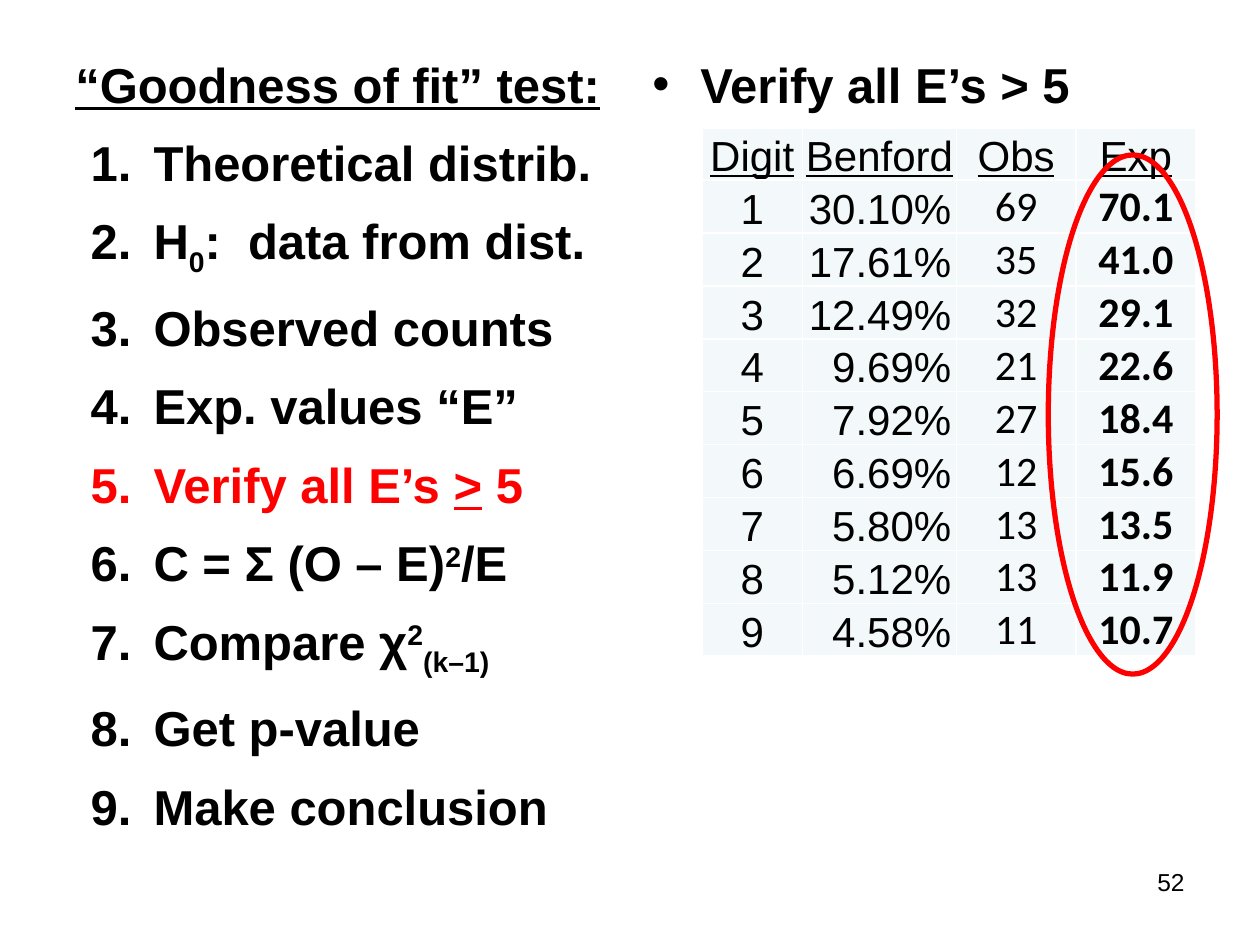
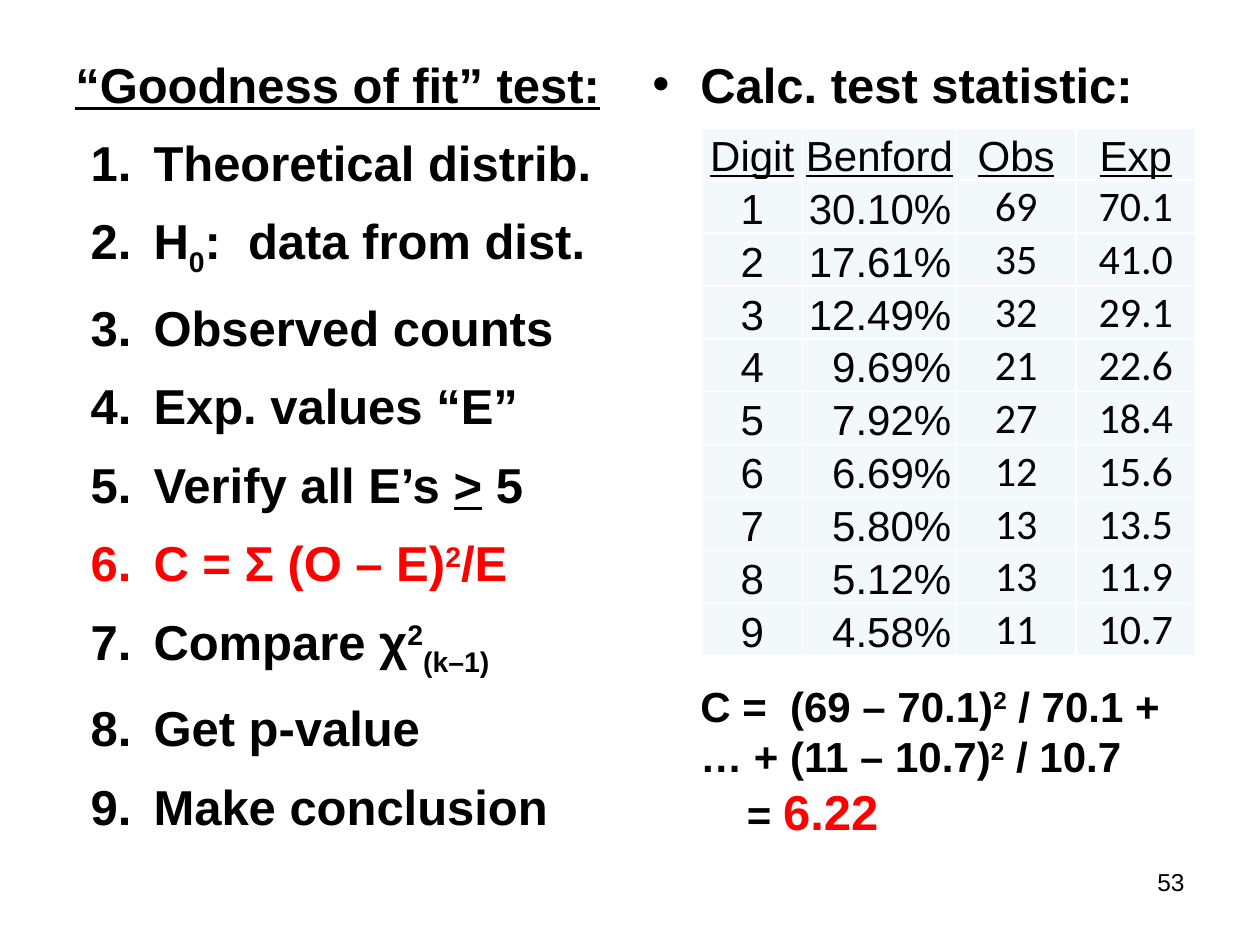
from dataclasses import dataclass

from lxml.etree import SubElement
from pptx import Presentation
from pptx.dml.color import RGBColor
from pptx.enum.shapes import MSO_SHAPE as Preset
from pptx.enum.text import MSO_ANCHOR as Anchor, PP_ALIGN as Align
from pptx.oxml.ns import qn
from pptx.util import Inches, Pt

# Content: a run is plain text or (text, style)
TITLE = "“Goodness of fit” test:"
STEPS = [
    ["Theoretical distrib."],
    ["H", ("0", "sub"), ":  data from dist."],
    ["Observed counts"],
    ["Exp. values “E”"],
    ["Verify all E’s ", (">", "underline"), " 5"],
    ["C = Σ (O – E)", ("2", "super"), "/E"],
    ["Compare χ", ("2", "super"), ("(k–1)", "sub")],
    ["Get p-value"],
    ["Make conclusion"],
]
HEADERS = ["Digit", "Benford", "Obs", "Exp"]
COUNTS = [
    ("1", "30.10%", "69", "70.1"),
    ("2", "17.61%", "35", "41.0"),
    ("3", "12.49%", "32", "29.1"),
    ("4", "9.69%", "21", "22.6"),
    ("5", "7.92%", "27", "18.4"),
    ("6", "6.69%", "12", "15.6"),
    ("7", "5.80%", "13", "13.5"),
    ("8", "5.12%", "13", "11.9"),
    ("9", "4.58%", "11", "10.7"),
]
FORMULA = ["C =  (69 – 70.1)", ("2", "super"), " / 70.1 + … + (11 – 10.7)",
           ("2", "super"), " / 10.7"]
RESULT = ["= ", ("6.22", "result")]
SLIDES = [
    {"number": 52, "step": 5, "heading": "Verify all E’s > 5", "circle_expected": True},
    {"number": 53, "step": 6, "heading": "Calc. test statistic:", "circle_expected": False},
]


@dataclass(frozen=True)
class Theme:
    text: RGBColor = RGBColor(0, 0, 0)
    accent: RGBColor = RGBColor(255, 0, 0)
    paper: RGBColor = RGBColor(255, 255, 255)
    cell: RGBColor = RGBColor.from_string("F3F9FA")
    font: str = "Arial"
    count_font: str = "Calibri"
    body: Pt = Pt(28)
    table: Pt = Pt(24)
    footer: Pt = Pt(14)
    step_gap: Pt = Pt(11.2)


THEME = Theme()
BASELINES = {"sub": "-25000", "super": "30000"}

# Layout in inches
PANEL_TOP, PANEL_WIDTH, PANEL_HEIGHT = 0.38, 4.42, 6.37
LEFT_PANEL, RIGHT_PANEL = 0.5, 5.08
TABLE_LEFT, TABLE_TOP = 5.57, 1.02
COLUMN_WIDTHS = [0.8, 1.22, 0.95, 0.95]
HEADER_HEIGHT, ROW_HEIGHT = 0.39, 0.42


def write(paragraph, runs, size, color=THEME.text, bold=True, font=THEME.font,
          underline=False):
    """Fill a paragraph with styled runs."""
    paragraph.font.size = size
    paragraph.font.name = font
    paragraph.font.bold = bold
    paragraph.font.underline = underline
    paragraph.font.color.rgb = color
    for item in runs:
        text, style = (item, None) if isinstance(item, str) else item
        run = paragraph.add_run()
        run.text = text
        if style in BASELINES:
            run._r.get_or_add_rPr().set("baseline", BASELINES[style])
        elif style == "underline":
            run.font.underline = True
        elif style == "result":
            run.font.size = THEME.body
            run.font.color.rgb = THEME.accent


def add_bullet(paragraph, tag, attributes, margin, hanging, color):
    properties = paragraph._p.get_or_add_pPr()
    properties.set("marL", str(Inches(margin)))
    properties.set("indent", str(-Inches(hanging)))
    bullet_color = SubElement(properties, qn("a:buClr"))
    SubElement(bullet_color, qn("a:srgbClr"), val=str(color))
    SubElement(properties, qn("a:buFont"), typeface=THEME.font)
    SubElement(properties, qn(tag), **attributes)


def add_panel(slide, left):
    """Add a slightly transparent white text panel."""
    panel = slide.shapes.add_shape(Preset.RECTANGLE, Inches(left), Inches(PANEL_TOP),
                                   Inches(PANEL_WIDTH), Inches(PANEL_HEIGHT))
    panel.shadow.inherit = False
    panel.line.fill.background()
    panel.fill.solid()
    panel.fill.fore_color.rgb = THEME.paper
    SubElement(panel._element.spPr.find(".//" + qn("a:srgbClr")), qn("a:alpha"), val="90000")
    frame = panel.text_frame
    frame.word_wrap = True
    frame.vertical_anchor = Anchor.TOP
    frame.paragraphs[0].alignment = Align.LEFT
    return frame


def add_steps(slide, current):
    frame = add_panel(slide, LEFT_PANEL)
    write(frame.paragraphs[0], [TITLE], THEME.body, underline=True)
    for number, runs in enumerate(STEPS, 1):
        color = THEME.accent if number == current else THEME.text
        paragraph = frame.add_paragraph()
        paragraph.alignment = Align.LEFT
        paragraph.space_before = THEME.step_gap
        add_bullet(paragraph, "a:buAutoNum", {"type": "arabicPeriod"}, 0.62, 0.5, color)
        write(paragraph, runs, THEME.body, color)


def add_heading(slide, text):
    paragraph = add_panel(slide, RIGHT_PANEL).paragraphs[0]
    add_bullet(paragraph, "a:buChar", {"char": "•"}, 0.38, 0.38, THEME.text)
    write(paragraph, [text], THEME.body)


def add_borders(cell):
    properties = cell._tc.get_or_add_tcPr()
    for index, side in enumerate(("a:lnL", "a:lnR", "a:lnT", "a:lnB")):
        line = properties.makeelement(qn(side), {"w": str(Pt(1))})
        fill = SubElement(line, qn("a:solidFill"))
        SubElement(fill, qn("a:srgbClr"), val=str(THEME.paper))
        properties.insert(index, line)


def add_counts(slide, bold_expected):
    rows = [HEADERS, *COUNTS]
    heights = [HEADER_HEIGHT] + [ROW_HEIGHT] * len(COUNTS)
    table = slide.shapes.add_table(
        len(rows), len(HEADERS), Inches(TABLE_LEFT), Inches(TABLE_TOP),
        Inches(sum(COLUMN_WIDTHS)), Inches(sum(heights))).table
    table.first_row = table.horz_banding = False
    for column, width in zip(table.columns, COLUMN_WIDTHS):
        column.width = Inches(width)
    for row, height in zip(table.rows, heights):
        row.height = Inches(height)
    for row_index, values in enumerate(rows):
        for column_index, value in enumerate(values):
            is_header = row_index == 0
            is_percent = not is_header and column_index == 1
            is_count = not is_header and column_index >= 2
            cell = table.cell(row_index, column_index)
            cell.fill.solid()
            cell.fill.fore_color.rgb = THEME.cell
            add_borders(cell)
            cell.vertical_anchor = Anchor.BOTTOM
            cell.margin_left = cell.margin_top = Inches(0.01)
            cell.margin_right = Inches(0.04 if is_percent else 0.01)
            cell.margin_bottom = 0
            paragraph = cell.text_frame.paragraphs[0]
            paragraph.alignment = Align.RIGHT if is_percent else Align.CENTER
            write(paragraph, [value], THEME.table, underline=is_header,
                  font=THEME.count_font if is_count else THEME.font,
                  bold=bold_expected and is_count and column_index == 3)


def add_text_box(slide, left, top, width, height):
    frame = slide.shapes.add_textbox(Inches(left), Inches(top),
                                     Inches(width), Inches(height)).text_frame
    frame.word_wrap = True
    return frame


def add_page_number(slide, number):
    paragraph = add_text_box(slide, 7.17, 6.83, 2.33, 0.52).paragraphs[0]
    paragraph.alignment = Align.RIGHT
    write(paragraph, [str(number)], THEME.footer, bold=False)


def add_expected_circle(slide):
    circle = slide.shapes.add_shape(Preset.OVAL, Inches(8.32), Inches(1.23),
                                    Inches(1.34), Inches(4.12))
    circle.shadow.inherit = False
    circle.fill.background()
    circle.line.color.rgb = THEME.accent
    circle.line.width = Pt(3)


def add_statistic(slide):
    frame = add_text_box(slide, 5.46, 5.35, 4.07, 1.38)
    write(frame.paragraphs[0], FORMULA, THEME.table)
    result = frame.add_paragraph()
    result._p.get_or_add_pPr().set("marL", str(Inches(0.37)))
    write(result, RESULT, THEME.table)


def main():
    presentation = Presentation()
    presentation.slide_width, presentation.slide_height = Inches(10), Inches(7.5)
    for content in SLIDES:
        slide = presentation.slides.add_slide(presentation.slide_layouts[6])
        add_steps(slide, content["step"])
        add_page_number(slide, content["number"])
        add_heading(slide, content["heading"])
        add_counts(slide, bold_expected=content["circle_expected"])
        if content["circle_expected"]:
            add_expected_circle(slide)
        else:
            add_statistic(slide)
    presentation.save("out.pptx")


if __name__ == "__main__":
    main()
